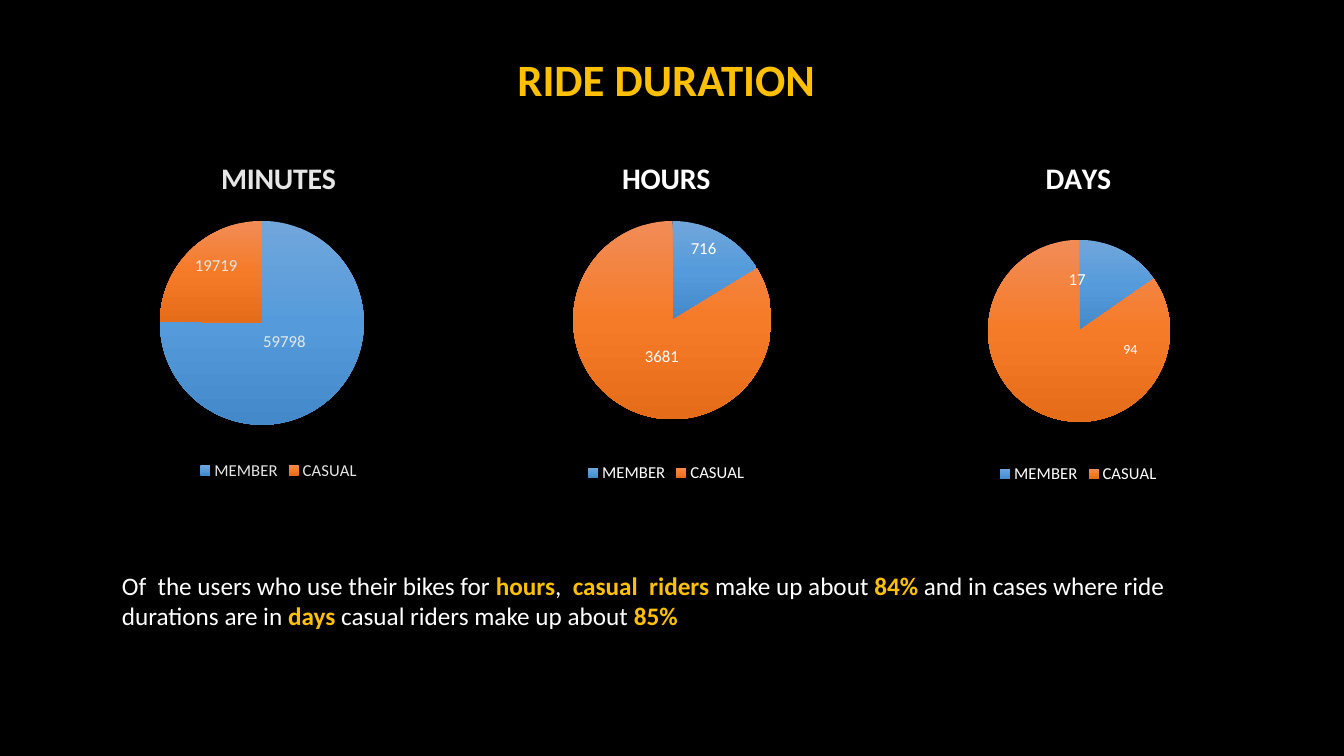
from copy import deepcopy
from lxml import etree
from pptx import Presentation
from pptx.chart.data import CategoryChartData
from pptx.dml.color import RGBColor
from pptx.enum import chart as kinds, text
from pptx.oxml.ns import qn
from pptx.util import Pt

HUES = {
    "back": "000000",
    "gold": "FFC000",
    "white": "FFFFFF",
    "pale": "E7E6E6",
    "member": ["71A6DB", "559BDB", "448ACA"],
    "casual": ["F18C57", "F67B28", "E56C19"],
}


def style(font, size, hue, bold=False):
    for key, value in {"name": "Calibri", "size": Pt(size), "bold": bold}.items():
        setattr(font, key, value)
    font.color.rgb = RGBColor.from_string(HUES[hue])


def place(node, spot, rules):
    for old in node.findall(qn("c:layout")):
        node.remove(old)
    layout = etree.Element(qn("c:layout"))
    manual = etree.SubElement(layout, qn("c:manualLayout"))
    for key, value in {**rules, **spot}.items():
        etree.SubElement(manual, qn("c:" + key)).set("val", str(value))
    node.insert(1 if node.tag == qn("c:dLbl") else 0, layout)


deck = Presentation()
deck.slide_width, deck.slide_height = Pt(960), Pt(540)
slide = deck.slides.add_slide(deck.slide_layouts[5])
slide.background.fill.solid()
slide.background.fill.fore_color.rgb = RGBColor.from_string(HUES["back"])

title = slide.shapes.title
title.left, title.top, title.width, title.height = Pt(361.5), Pt(33), Pt(229), Pt(46)
frame = title.text_frame
frame.text = "RIDE DURATION"
frame.word_wrap = False
frame.auto_size = text.MSO_AUTO_SIZE.NONE
frame.vertical_anchor = text.MSO_ANCHOR.MIDDLE
frame.paragraphs[0].alignment = text.PP_ALIGN.CENTER
style(frame.paragraphs[0].runs[0].font, 32, "gold", True)

top = 100
pies = [
    ("MINUTES", "pale", (59798, 19719), (80, 238, 246), (114.3, 157.9, 145.7),
     [(-0.04, -0.05, 12), (-0.03, -0.06, 12)]),
    ("HOURS", "white", (716, 3681), (351.4, 249, 248), (409.3, 157.9, 141.8),
     [(0.02, -0.08, 12), (0.04, -0.02, 12)]),
    ("DAYS", "white", (17, 94), (634.3, 272, 248.5), (705.7, 171.4, 130),
     [(-0.06, -0.03, 12), (0.19, -0.06, 10)]),
]
for name, hue, values, (left, wide, high), (x, y, size), labels in pies:
    data = CategoryChartData()
    data.categories = ["MEMBER", "CASUAL"]
    data.add_series(name, values)
    chart = slide.shapes.add_chart(
        kinds.XL_CHART_TYPE.PIE, Pt(left), Pt(top), Pt(wide), Pt(high), data).chart
    style(chart.font, 10, "white")
    chart.has_title = True
    chart.chart_title.include_in_layout = False
    chart.chart_title.text_frame.text = name
    style(chart.chart_title.text_frame.paragraphs[0].runs[0].font, 21.3, hue, True)
    chart.has_legend = True
    chart.legend.position = kinds.XL_LEGEND_POSITION.BOTTOM
    chart.legend.include_in_layout = False
    style(chart.legend.font, 11.9, hue)

    plot = chart.plots[0]
    plot.vary_by_categories = True
    for i, group in enumerate(["member", "casual"]):
        point = plot.series[0].points[i]
        point.format.line.fill.background()
        fill = point.format.fill
        fill.gradient()
        fill.gradient_angle = 270
        first = fill.gradient_stops[0]._gs
        first.addnext(deepcopy(first))
        for stop, share, tone in zip(fill.gradient_stops, (0, 0.5, 1), HUES[group]):
            stop.position = share
            stop.color.rgb = RGBColor.from_string(tone)
        point.data_label.position = kinds.XL_LABEL_POSITION.CENTER
        style(point.data_label.font, labels[i][2], hue)
    for node, (dx, dy, _) in zip(chart._chartSpace.xpath(".//c:dLbl"), labels):
        place(node, {"x": dx, "y": dy}, {})
    spot = {"x": (x - left) / wide, "y": (y - top) / high, "w": size / wide, "h": size / high}
    place(chart._chartSpace.xpath(".//c:plotArea")[0],
          {key: round(value, 3) for key, value in spot.items()},
          {"layoutTarget": "inner", "xMode": "edge", "yMode": "edge"})

note = slide.shapes.add_textbox(Pt(80), Pt(404), Pt(827), Pt(51)).text_frame
note.word_wrap = True
parts = [
    "Of  the users who use their bikes for ", "hours", ",  ", "casual  riders ",
    "make up about ", "84%", " and in cases where ride durations are in ", "days",
    " casual riders make up about ", "85%",
]
for i, words in enumerate(parts):
    run = note.paragraphs[0].add_run()
    run.text = words
    strong = i % 2 == 1
    style(run.font, 18, "gold" if strong else "white", strong)

deck.save("out.pptx")
